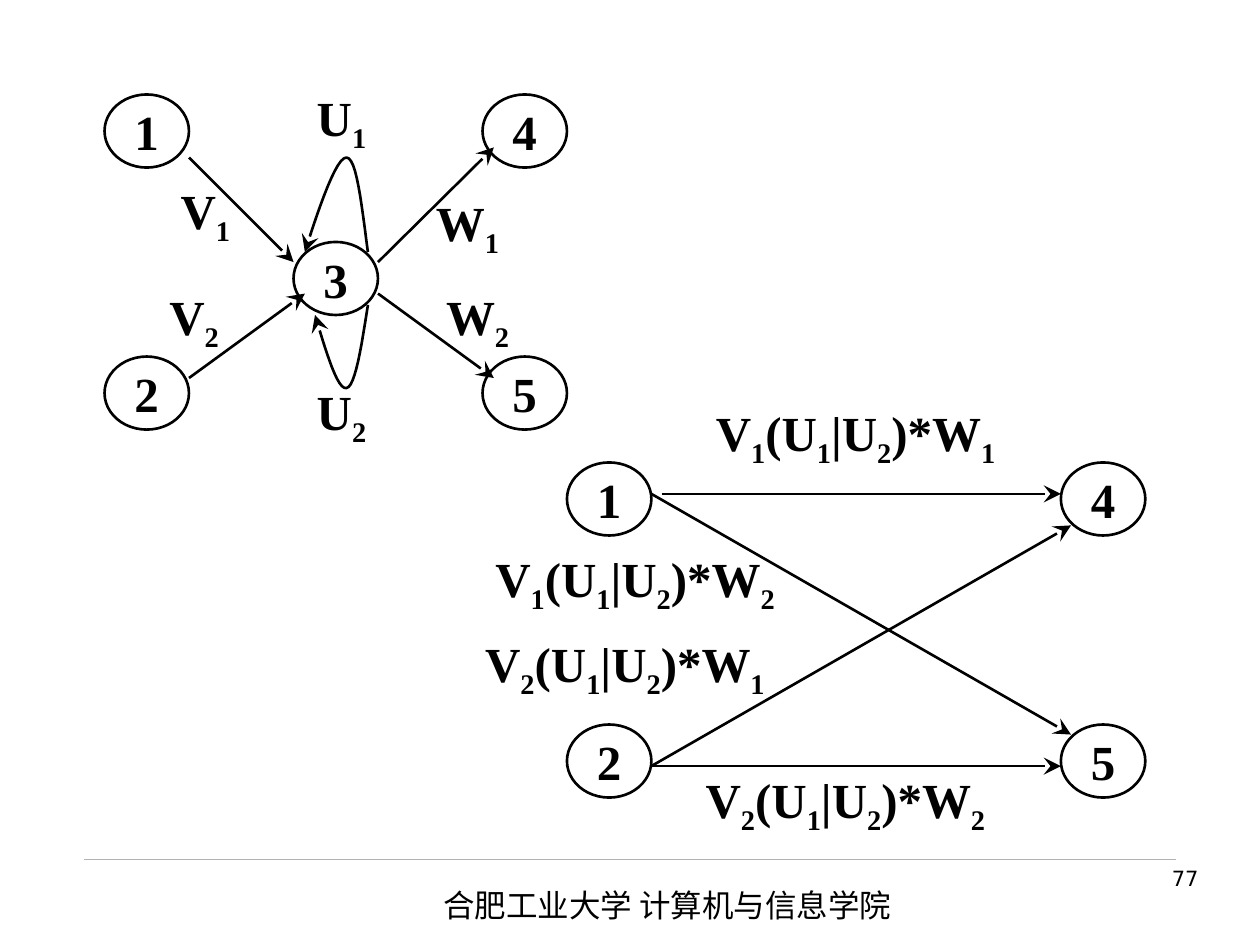
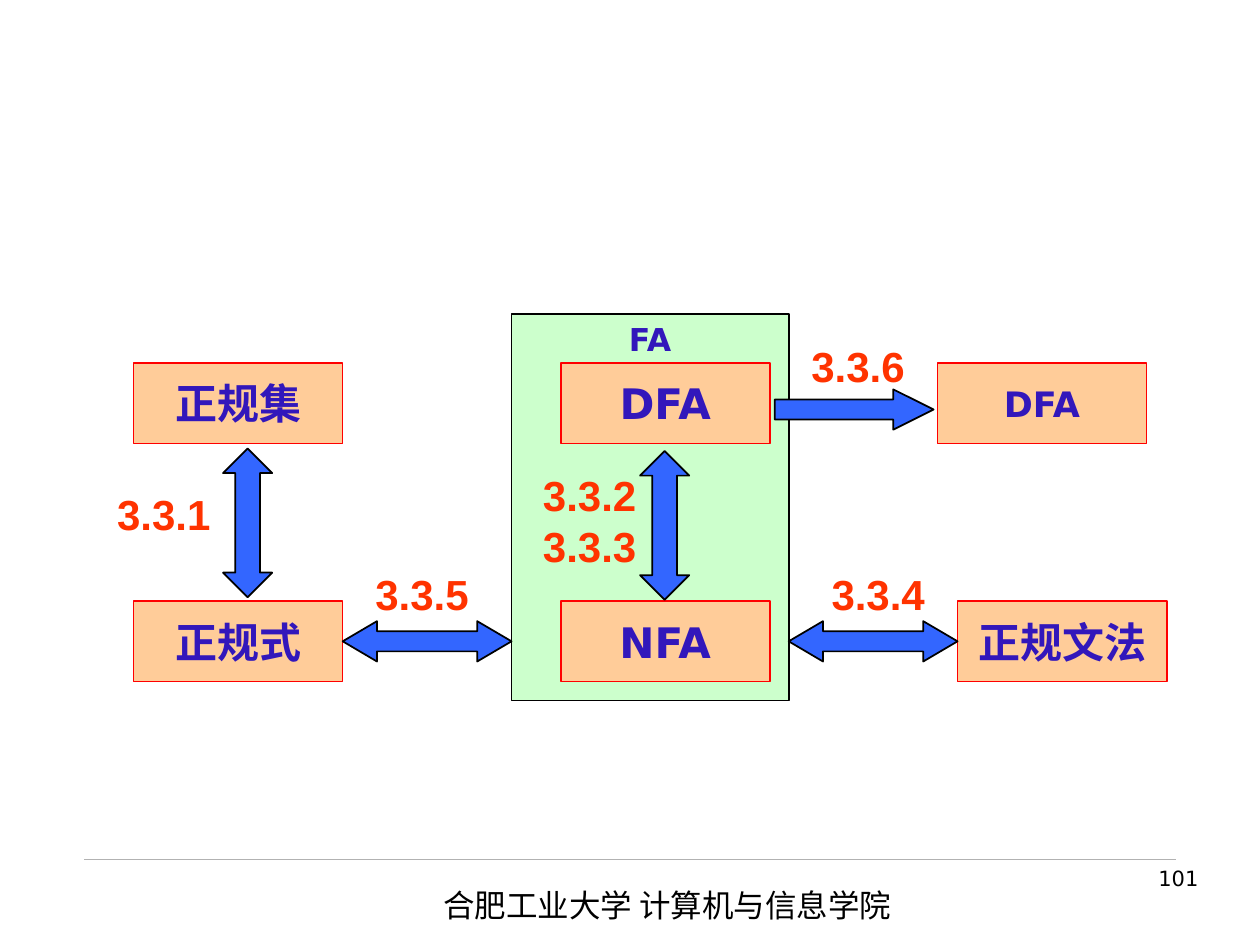
from itertools import groupby
from lxml import etree
from pptx import Presentation
from pptx.dml.color import RGBColor
from pptx.enum.shapes import MSO_CONNECTOR, MSO_SHAPE
from pptx.enum.text import MSO_ANCHOR, PP_ALIGN
from pptx.oxml.ns import qn
from pptx.util import Inches, Pt

OVAL, RECT = MSO_SHAPE.OVAL, MSO_SHAPE.RECTANGLE
WIDE, TALL = MSO_SHAPE.LEFT_RIGHT_ARROW, MSO_SHAPE.UP_DOWN_ARROW
RIGHT = MSO_SHAPE.RIGHT_ARROW
STRAIGHT = MSO_CONNECTOR.STRAIGHT
TOP, MIDDLE = MSO_ANCHOR.TOP, MSO_ANCHOR.MIDDLE
CENTER, LEFT, END = PP_ALIGN.CENTER, PP_ALIGN.LEFT, PP_ALIGN.RIGHT

COLORS = {"ink": "000000", "rule": "B2B2B2", "green": "CCFFCC", "peach": "FFCC99",
          "red": "FF0000", "blue": "3366FF", "navy": "3217BB", "orange": "FF3300"}
SERIF, SANS, ARIAL, HAN = "Times New Roman", "DejaVu Sans", "Arial", "Noto Sans CJK SC"


def put(slide, kind, at, text="", size=24, font=SANS, color="ink", bold=True,
        fill=None, line="ink", width=1, anchor=MIDDLE, align=CENTER, wrap=False, sub=False):
    """Add a shape, or a text box if kind is None; sub lowers the digits."""
    box = [Inches(v) for v in at]
    if kind is None:
        shape = slide.shapes.add_textbox(*box)
    else:
        shape = slide.shapes.add_shape(kind, *box)
        shape.shadow.inherit = False
        shape.line.color.rgb = RGBColor.from_string(COLORS[line])
        shape.line.width = Pt(width)
        if fill:
            shape.fill.solid()
            shape.fill.fore_color.rgb = RGBColor.from_string(COLORS[fill])
        else:
            shape.fill.background()
    if not text:
        return shape
    frame = shape.text_frame
    frame.word_wrap = wrap
    frame.vertical_anchor = anchor
    for i, row in enumerate(text.split("\n")):
        para = frame.add_paragraph() if i else frame.paragraphs[0]
        para.alignment = align
        parts = ["".join(g) for _, g in groupby(row, str.isdigit)] if sub else [row]
        for part in parts:
            run = para.add_run()
            run.text = part
            run.font.size, run.font.bold, run.font.name = Pt(size), bold, font
            run.font.color.rgb = RGBColor.from_string(COLORS[color])
            props = run._r.get_or_add_rPr()
            etree.SubElement(props, qn("a:ea")).set("typeface", HAN)
            if sub and part.isdigit():
                props.set("baseline", "-25000")
    return shape


def stroke(shape, color="ink", width=1.5, head=True):
    """Style a line or curve and give it an arrowhead."""
    shape.line.color.rgb = RGBColor.from_string(COLORS[color])
    shape.line.width = Pt(width)
    if head:
        tip = etree.SubElement(shape.line._get_or_add_ln(), qn("a:tailEnd"))
        for key, value in (("type", "stealth"), ("w", "lg"), ("len", "lg")):
            tip.set(key, value)
    etree.SubElement(shape._element.spPr, qn("a:effectLst"))


deck = Presentation()
deck.slide_width, deck.slide_height = Inches(10), Inches(7.5)
blank = deck.slide_layouts[6]
graph, chain = deck.slides.add_slide(blank), deck.slides.add_slide(blank)

# Shared footer
for slide, number in ((graph, "77"), (chain, "101")):
    rule = slide.shapes.add_connector(
        STRAIGHT, Inches(0.67), Inches(6.82), Inches(9.33), Inches(6.82))
    stroke(rule, "rule", 0.25, False)
    put(slide, None, (3.42, 6.98, 4.72, 0.4), "合肥工业大学 计算机与信息学院", 18, HAN,
        bold=False, anchor=TOP, align=LEFT, wrap=True)
    put(slide, None, (7.44, 6.82, 2.17, 0.52), number, 12,
        bold=False, anchor=TOP, align=END, wrap=True)

# State circles of both graphs
states = [("1", 0.83, 0.75), ("2", 0.83, 2.83), ("3", 2.33, 1.92),
          ("5", 3.83, 2.83), ("4", 3.83, 0.75),
          ("1", 4.5, 3.67), ("2", 4.5, 5.75), ("5", 8.42, 5.75), ("4", 8.42, 3.67)]
for name, x, y in states:
    put(graph, OVAL, (x, y, 0.67, 0.58), name, 28, SERIF, width=1.5)

# Edge labels, placed by their centres
labels = [("U1", 2.71, 0.96), ("V1", 1.63, 1.7), ("U2", 2.71, 3.29),
          ("V2", 1.54, 2.54), ("W2", 3.79, 2.54), ("W1", 3.71, 1.79),
          ("V1(U1|U2)*W1", 6.79, 3.46), ("V1(U1|U2)*W2", 5.04, 4.62),
          ("V2(U1|U2)*W2", 6.71, 6.37), ("V2(U1|U2)*W1", 4.96, 5.29)]
for text, x, y in labels:
    wide = 0.92 if len(text) == 2 else 2.6
    put(graph, None, (x - wide / 2, y - 0.29, wide, 0.58), text, 28, SERIF, sub=True)

# Straight edges
edges = [(1.5, 1.25, 2.33, 2.08), (1.5, 3, 2.42, 2.33),
         (3, 2.08, 3.92, 1.17), (3, 2.33, 3.92, 3),
         (5.25, 3.92, 8.42, 3.92), (5.17, 6.08, 8.42, 6.08),
         (5.17, 6.08, 8.5, 4.17), (5.17, 3.92, 8.5, 5.83)]
for ends in edges:
    stroke(graph.shapes.add_connector(STRAIGHT, *[Inches(v) for v in ends]))

# Loops on state 3: two cubic curves each, sampled in short steps
loops = [[(2.92, 2), (2.87, 1.62), (2.83, 1.25), (2.75, 1.25),
          (2.67, 1.25), (2.54, 1.62), (2.42, 2)],
         [(2.92, 2.42), (2.87, 2.74), (2.82, 3.07), (2.75, 3.08),
          (2.68, 3.1), (2.59, 2.8), (2.5, 2.5)]]
STEPS = 12
for knots in loops:
    dots = []
    for first in (0, 3):
        for step in range(1, STEPS + 1):
            t = step / STEPS
            mix = ((1 - t) ** 3, 3 * t * (1 - t) ** 2, 3 * t * t * (1 - t), t ** 3)
            dots.append([Inches(sum(m * k[axis] for m, k in zip(mix, knots[first:first + 4])))
                         for axis in (0, 1)])
    pen = graph.shapes.build_freeform(*[Inches(v) for v in knots[0]])
    pen.add_line_segments(dots, close=False)
    curve = pen.convert_to_shape()
    curve.fill.background()
    stroke(curve)

# Automata panel and boxes
put(chain, RECT, (4.06, 2.49, 2.2, 3.07), "FA", 18, color="navy", fill="green", anchor=TOP)
boxes = [("正规集", 1.06, 2.88, 24), ("正规式", 1.06, 4.77, 24),
         ("DFA", 4.45, 2.88, 24), ("NFA", 4.45, 4.77, 24),
         ("正规文法", 7.6, 4.77, 24), ("DFA", 7.44, 2.88, 20)]
for text, x, y, size in boxes:
    put(chain, RECT, (x, y, 1.66, 0.64), text, size, color="navy", fill="peach", line="red")

# Block arrows
arrows = [(WIDE, (2.72, 4.93, 1.34, 0.32), (0.5, 0.85)),
          (WIDE, (6.26, 4.93, 1.34, 0.32), (0.5, 0.85)),
          (TALL, (1.77, 3.56, 0.39, 1.18), (0.6, 0.5)),
          (TALL, (5.08, 3.58, 0.39, 1.18), (0.6, 0.5)),
          (RIGHT, (6.15, 3.09, 1.26, 0.32), (0.5, 1))]
for kind, at, bends in arrows:
    arrow = put(chain, kind, at, fill="blue")
    arrow.adjustments[0], arrow.adjustments[1] = bends

# Section numbers
marks = [("3.3.1", 0.83, 3.83), ("3.3.2\n3.3.3", 4.21, 3.68), ("3.3.4", 6.5, 4.46),
         ("3.3.5", 2.88, 4.46), ("3.3.6", 6.34, 2.65)]
for text, x, y in marks:
    tall = 0.9 if "\n" in text else 0.5
    put(chain, None, (x, y, 0.94, tall), text, 24, ARIAL, "orange", anchor=TOP)

deck.save("out.pptx")
